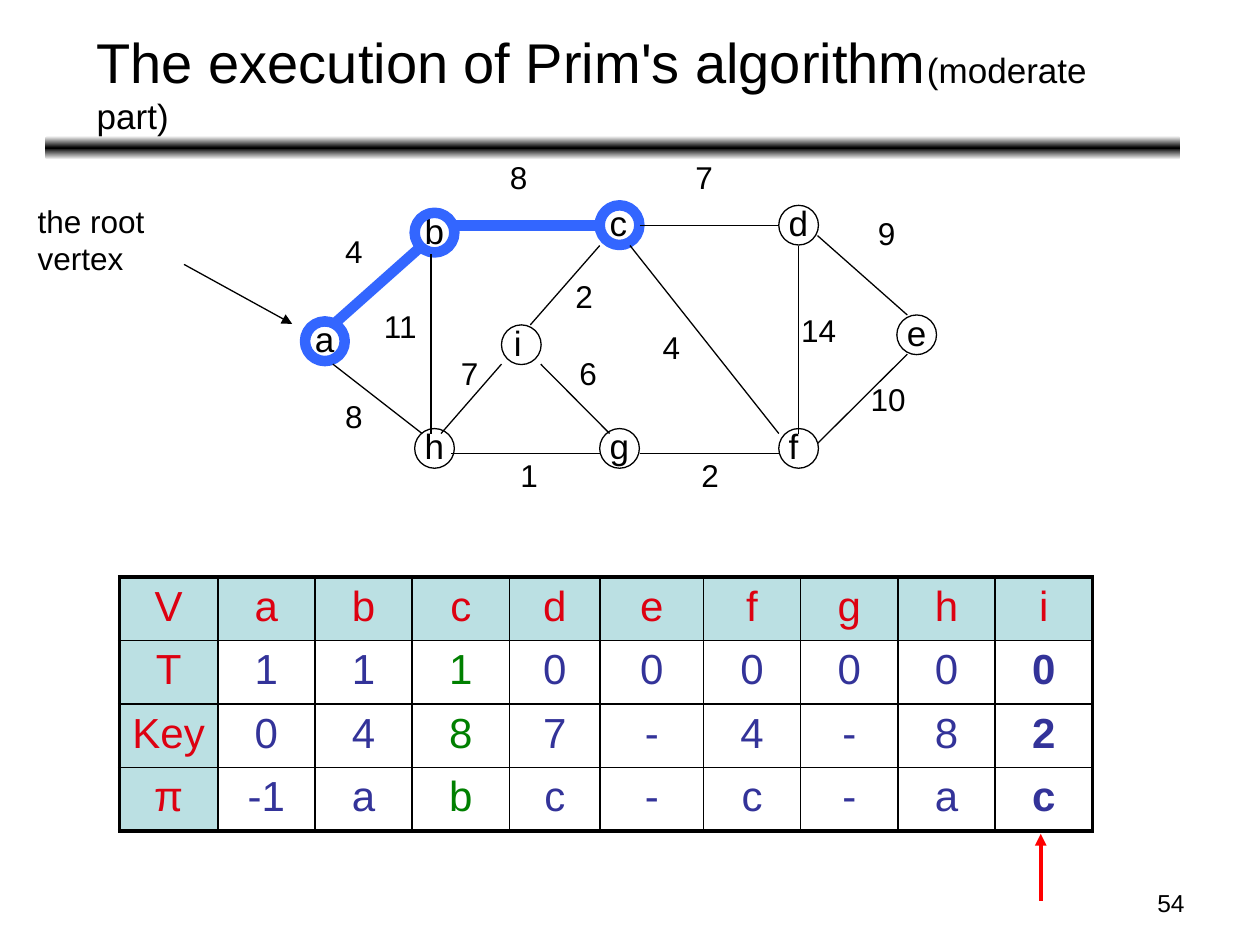
from copy import deepcopy
from dataclasses import dataclass

from pptx import Presentation
from pptx import util as u
from pptx.dml.color import RGBColor
from pptx.enum import shapes, text
from pptx.oxml import ns
from pptx.oxml.xmlchemy import OxmlElement

Cm, Pt = u.Cm, u.Pt
BLACK, BLUE, RED = "000000", "3366FF", "FF0000"
HEADING, VALUE, NEWEST, SHADE = "DD0111", "333399", "008000", "BBE0E3"
DIAMETER = 0.8


@dataclass
class Node:
    name: str
    x: float
    y: float
    in_tree: bool = False
    label_shift: float = -0.05


@dataclass
class Edge:
    start: tuple[float, float]
    end: tuple[float, float]
    weight: int
    weight_at: tuple[float, float]
    in_tree: bool = False


NODES = [
    Node("a", 6.15, 6.48, True), Node("b", 8.36, 4.29, True),
    Node("h", 8.36, 8.64), Node("c", 12.09, 4.14, True),
    Node("d", 15.7, 4.14), Node("e", 18.08, 6.35),
    Node("f", 15.7, 8.64), Node("g", 12.09, 8.64),
    Node("i", 10.11, 6.55, label_shift=0),
]
EDGES = [
    Edge((6.71, 6.55), (8.51, 4.95), 4, (6.71, 4.55), True),
    Edge((6.71, 7.34), (8.51, 8.74), 8, (6.71, 7.87)),
    Edge((8.69, 5.13), (8.69, 8.74), 11, (7.49, 6.07)),
    Edge((9.09, 4.55), (12.09, 4.55), 8, (10.03, 3.07), True),
    Edge((9.09, 9.14), (12.09, 9.14), 1, (10.24, 9.07)),
    Edge((12.9, 9.14), (15.7, 9.14), 2, (13.89, 9.07)),
    Edge((12.7, 4.95), (15.7, 8.74), 4, (13.11, 6.48)),
    Edge((12.9, 4.55), (15.7, 4.55), 7, (13.77, 3.07)),
    Edge((16.1, 4.95), (16.1, 8.74), 14, (15.9, 6.15)),
    Edge((16.48, 4.75), (18.29, 6.35), 9, (17.45, 4.19)),
    Edge((16.48, 8.94), (18.29, 7.14), 10, (17.3, 7.54)),
    Edge((10.9, 7.34), (12.29, 8.74), 6, (11.43, 7.01)),
    Edge((8.89, 8.74), (10.11, 7.34), 7, (9.04, 7.01)),
    Edge((10.69, 6.55), (12.09, 4.95), 2, (11.35, 5.46)),
]
STATE = [
    ["V", *"abcdefghi"],
    ["T", *"111000000"],
    ["Key", *"0487-4-82"],
    ["π", "-1", *"abc-c-ac"],
]
COLUMN_WIDTHS = [1.98, 1.96, 1.96, 1.96, 1.83, 2.08, 1.96, 1.96, 1.96, 1.96]
ROW_HEIGHT = 1.28


def rgb(code: str) -> RGBColor:
    return RGBColor.from_string(code)


def write(paragraph, words: str, *, size: float, color: str = BLACK,
          bold: bool = False, align=text.PP_ALIGN.LEFT) -> None:
    paragraph.alignment = align
    run = paragraph.add_run()
    run.text = words
    run.font.name = "Arial"
    run.font.size = Pt(size)
    run.font.bold = bold
    run.font.color.rgb = rgb(color)


def add_label(slide, x: float, y: float, width: float, height: float,
              words: str, wrap: bool = False, **style):
    frame = slide.shapes.add_textbox(Cm(x), Cm(y), Cm(width), Cm(height)).text_frame
    frame.word_wrap = wrap
    write(frame.paragraphs[0], words, **style)
    return frame.paragraphs[0]


def add_line(slide, start: tuple[float, float], end: tuple[float, float],
             color: str = BLACK, weight: float = 0.75, arrow: bool = False) -> None:
    connector = slide.shapes.add_connector(
        shapes.MSO_CONNECTOR.STRAIGHT, *(Cm(v) for v in (*start, *end)))
    connector.line.color.rgb = rgb(color)
    connector.line.width = Pt(weight)
    if arrow:
        head = OxmlElement("a:tailEnd")
        head.set("type", "triangle")
        connector.line._get_or_add_ln().append(head)
    connector._element.spPr.append(OxmlElement("a:effectLst"))


def stroke(in_tree: bool) -> tuple[str, float]:
    return (BLUE, 6) if in_tree else (BLACK, 0.75)


def draw_node(slide, node: Node) -> None:
    add_label(slide, node.x + node.label_shift, node.y - 0.2, 0.91, 1.09,
              node.name, size=20)
    circle = slide.shapes.add_shape(shapes.MSO_SHAPE.OVAL, Cm(node.x), Cm(node.y),
                                    Cm(DIAMETER), Cm(DIAMETER))
    circle.shadow.inherit = False
    circle.fill.background()
    color, weight = stroke(node.in_tree)
    circle.line.color.rgb = rgb(color)
    circle.line.width = Pt(weight)


def draw_weight(slide, edge: Edge) -> None:
    digits = str(edge.weight)
    add_label(slide, *edge.weight_at, 0.5 + 0.36 * len(digits), 1.02, digits, size=18)


def set_border(cell, side: str, weight: float) -> None:
    line = OxmlElement(f"a:ln{side}")
    line.set("w", str(Pt(weight)))
    fill = OxmlElement("a:solidFill")
    color = OxmlElement("a:srgbClr")
    color.set("val", BLACK)
    fill.append(color)
    line.append(fill)
    cell._tc.get_or_add_tcPr().append(line)


def draw_state_table(slide) -> None:
    last_row, last_column = len(STATE) - 1, len(COLUMN_WIDTHS) - 1
    table = slide.shapes.add_table(
        len(STATE), len(COLUMN_WIDTHS), Cm(2.41), Cm(11.63),
        Cm(sum(COLUMN_WIDTHS)), Cm(ROW_HEIGHT * len(STATE))).table
    table.first_row = table.horz_banding = False
    for column, width in zip(table.columns, COLUMN_WIDTHS):
        column.width = Cm(width)
    for r, values in enumerate(STATE):
        table.rows[r].height = Cm(ROW_HEIGHT)
        for c, value in enumerate(values):
            cell = table.cell(r, c)
            outer = {"L": c == 0, "R": c == last_column,
                     "T": r == 0, "B": r == last_row}
            for side, is_outer in outer.items():
                set_border(cell, side, 2.25 if is_outer else 1)
            is_heading = r == 0 or c == 0
            if is_heading:
                cell.fill.solid()
                cell.fill.fore_color.rgb = rgb(SHADE)
                color = HEADING
            else:
                cell.fill.background()
                color = NEWEST if STATE[0][c] == "c" else VALUE
            write(cell.text_frame.paragraphs[0], value, size=24, color=color,
                  bold=not is_heading and c == last_column,
                  align=text.PP_ALIGN.CENTER)


def draw_title_rule(slide) -> None:
    rule = slide.shapes.add_shape(shapes.MSO_SHAPE.ROUNDED_RECTANGLE,
                                  Cm(0.91), Cm(2.74), Cm(22.89), Cm(0.48))
    rule.shadow.inherit = False
    rule.line.fill.background()
    rule.fill.gradient()
    rule.fill.gradient_angle = 90
    stops = rule._element.spPr.find(".//" + ns.qn("a:gsLst"))
    stops.append(deepcopy(stops[0]))
    for stop, position, color in zip(rule.fill.gradient_stops, (0, 0.5, 1),
                                     ("FFFFFF", BLACK, "FFFFFF")):
        stop.position = position
        stop.color.rgb = rgb(color)


def main() -> None:
    deck = Presentation()
    deck.slide_width, deck.slide_height = Cm(25.4), Cm(19.05)
    slide = deck.slides.add_slide(deck.slide_layouts[6])

    # Title and page number
    draw_title_rule(slide)
    add_label(slide, 18.21, 17.78, 5.92, 0.89, "54", wrap=True, size=14,
              align=text.PP_ALIGN.RIGHT)
    title = add_label(slide, 1.7, 0.43, 21.79, 1.6,
                      "The execution of Prim's algorithm", wrap=True, size=32)
    write(title, "(moderate part)", size=20)

    # Pointer to the root
    add_label(slide, 0.51, 3.94, 3.4, 2.29, "the root vertex", wrap=True, size=18)
    add_line(slide, (3.71, 5.33), (5.89, 6.53), arrow=True)

    # State table
    draw_state_table(slide)

    # Graph
    for node in NODES:
        draw_node(slide, node)
    for edge in EDGES:
        add_line(slide, edge.start, edge.end, *stroke(edge.in_tree))
    for edge in EDGES:
        draw_weight(slide, edge)

    # Marker under the next vertex
    add_line(slide, (20.98, 18.16), (20.98, 16.81), RED, 2.25, arrow=True)

    deck.save("out.pptx")


if __name__ == "__main__":
    main()
